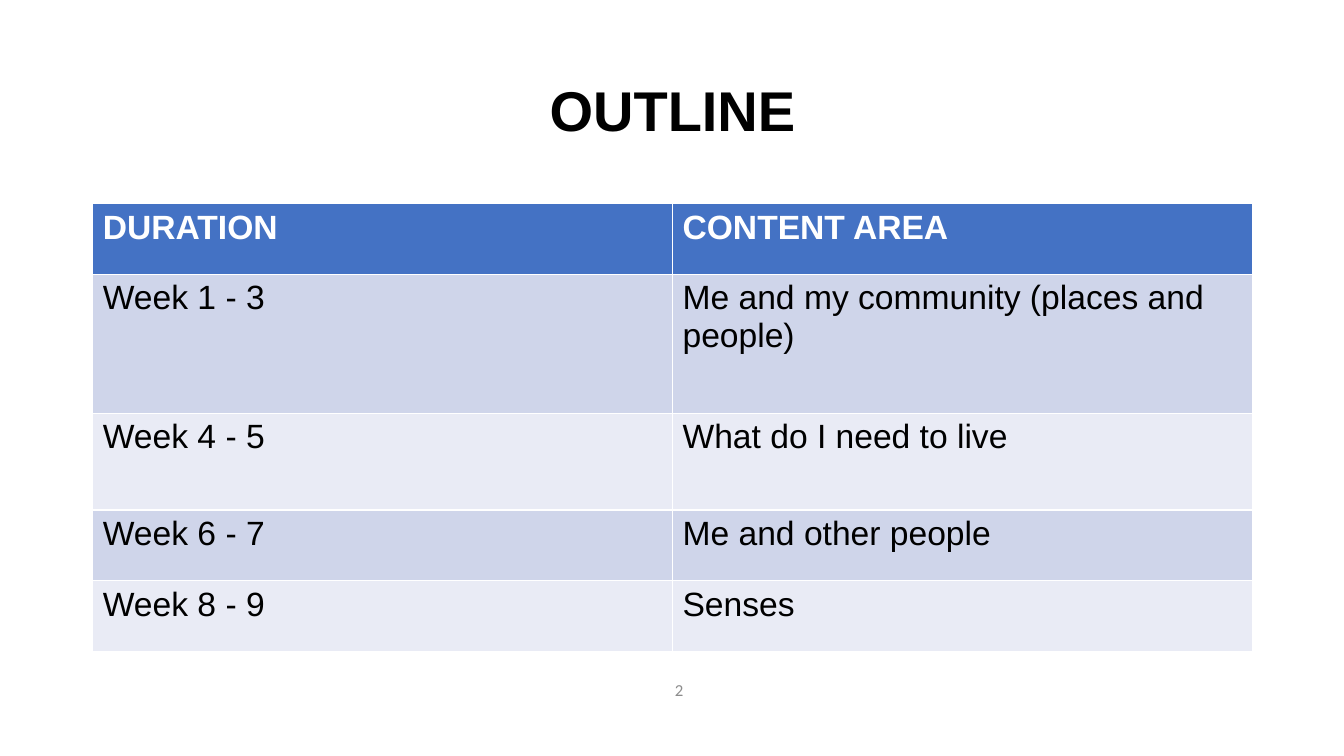
from pptx import Presentation
from pptx import util as u
from pptx.dml.color import RGBColor
from pptx.enum import text

WIDTH, HEIGHT = 13.33, 7.5
MARGIN = 0.92
COLUMN = 5.75
ROW_HEIGHTS = [0.7, 1.38, 0.96, 0.7, 0.7]
HEADER_FILL = "4472C4"
BAND_FILLS = ["E9EBF5", "CFD5EA"]
OUTLINE_ROWS = [
    ("DURATION", "CONTENT AREA"),
    ("Week 1 - 3", "Me and my community (places and people)"),
    ("Week 4 - 5", "What do I need to live"),
    ("Week 6 - 7", "Me and other people"),
    ("Week 8 - 9", "Senses"),
]


def color(value):
    return RGBColor.from_string(value)


def format_paragraph(paragraph, size, value, bold=False, name="Arial"):
    font = paragraph.font
    font.name, font.size, font.bold = name, u.Pt(size), bold
    font.color.rgb = color(value)


presentation = Presentation()
presentation.slide_width = u.Inches(WIDTH)
presentation.slide_height = u.Inches(HEIGHT)
slide = presentation.slides.add_slide(presentation.slide_layouts[5])

# Title
title = slide.shapes.title
title.left, title.top = u.Inches(MARGIN), u.Inches(0.4)
title.width, title.height = u.Inches(2 * COLUMN), u.Inches(1.45)
title.text_frame.text = "OUTLINE"
title.text_frame.auto_size = text.MSO_AUTO_SIZE.NONE
title.text_frame.vertical_anchor = text.MSO_ANCHOR.MIDDLE
paragraph = title.text_frame.paragraphs[0]
paragraph.alignment = text.PP_ALIGN.CENTER
paragraph.line_spacing = 0.9
format_paragraph(paragraph, 40, "000000", bold=True)

# Outline table; its default style draws the white borders
table = slide.shapes.add_table(
    len(OUTLINE_ROWS), 2, u.Inches(MARGIN), u.Inches(2.02),
    u.Inches(2 * COLUMN), u.Inches(sum(ROW_HEIGHTS))).table
for row_index, (labels, height) in enumerate(zip(OUTLINE_ROWS, ROW_HEIGHTS)):
    table.rows[row_index].height = u.Inches(height)
    header = row_index == 0
    for column_index, label in enumerate(labels):
        cell = table.cell(row_index, column_index)
        cell.text = label
        cell.fill.solid()
        cell.fill.fore_color.rgb = color(HEADER_FILL if header else BAND_FILLS[row_index % 2])
        format_paragraph(cell.text_frame.paragraphs[0], 24,
                         "FFFFFF" if header else "000000", bold=header)

# Page number
page_number = slide.shapes.add_textbox(
    u.Inches(0.75), u.Inches(6.33), u.Inches(11.97), u.Inches(1.02))
page_number.text_frame.word_wrap = True
page_number.text_frame.vertical_anchor = text.MSO_ANCHOR.MIDDLE
paragraph = page_number.text_frame.paragraphs[0]
paragraph.text = "2"
paragraph.alignment = text.PP_ALIGN.CENTER
format_paragraph(paragraph, 12, "8C8C8C", name="Calibri")

presentation.save("out.pptx")
